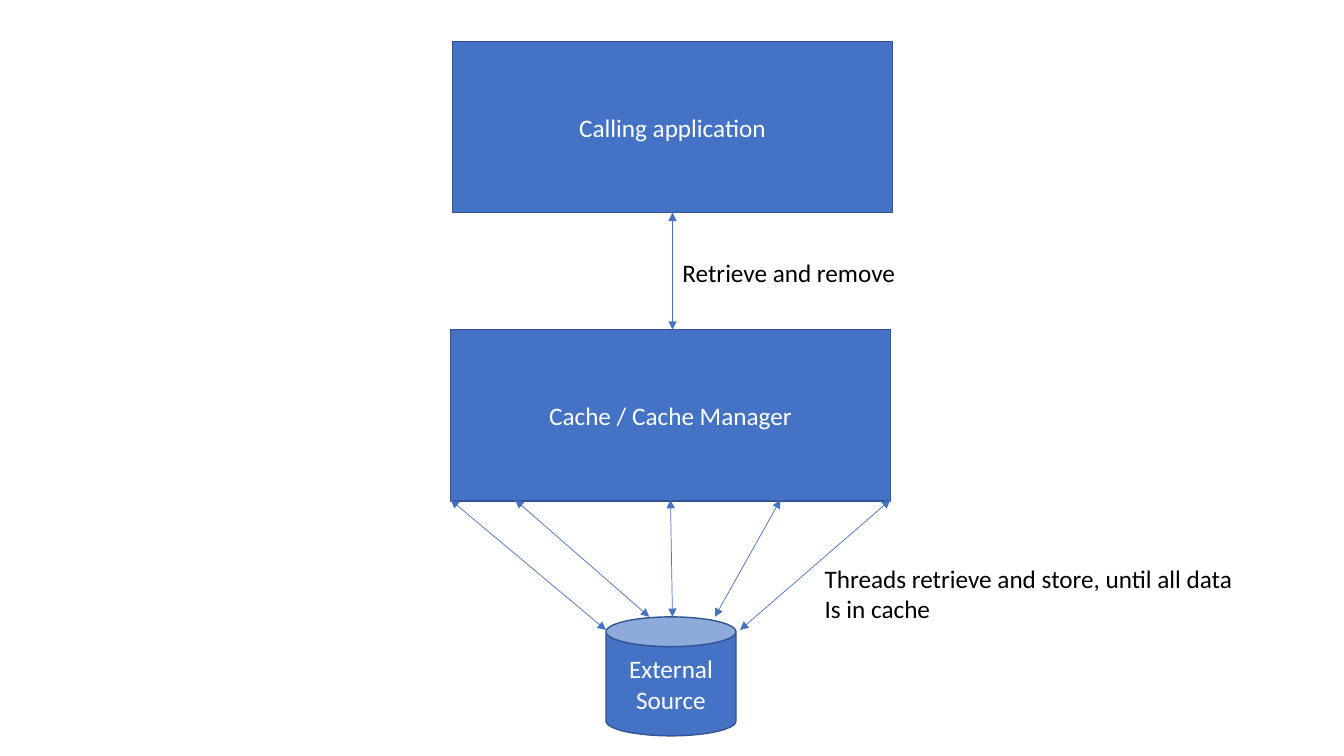
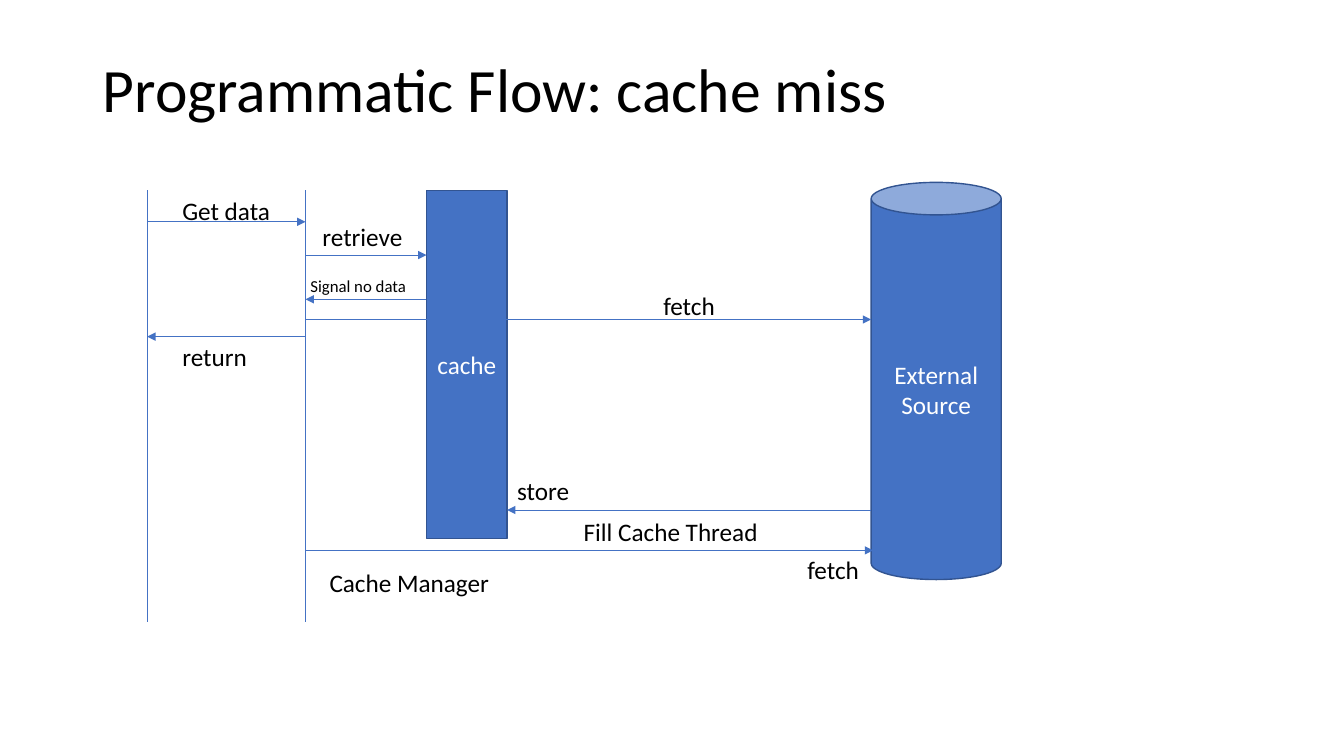
from pptx import Presentation
from pptx.dml.color import RGBColor
from pptx.enum.shapes import MSO_CONNECTOR, MSO_SHAPE
from pptx.enum.text import MSO_ANCHOR, MSO_AUTO_SIZE, PP_ALIGN
from pptx.oxml.ns import qn
from pptx.util import Inches, Pt
from lxml.etree import SubElement

COLORS = {"fill": "4472C4", "outline": "325491", "text": "000000", "on_fill": "FFFFFF"}
FONT = "Calibri"
TITLE_ONLY, BLANK = 5, 6


def color(name):
    return RGBColor.from_string(COLORS[name])


def write(tf, text, size, color_name, align=PP_ALIGN.LEFT):
    tf.text = text
    for p in tf.paragraphs:
        p.alignment = align
        for r in p.runs:
            r.font.name = FONT
            r.font.size = Pt(size)
            r.font.color.rgb = color(color_name)


def add_title(slide, text):
    sp = slide.shapes.title
    sp.left, sp.top, sp.width, sp.height = map(Inches, (0.92, 0.4, 11.5, 1.03))
    tf = sp.text_frame
    tf.vertical_anchor = MSO_ANCHOR.MIDDLE
    write(tf, text, 44, "text")
    tf.paragraphs[0].line_spacing = 0.9


def add_node(slide, kind, box, text):
    sp = slide.shapes.add_shape(kind, *map(Inches, box))
    sp.shadow.inherit = False
    sp.fill.solid()
    sp.fill.fore_color.rgb = color("fill")
    sp.line.color.rgb = color("outline")
    sp.line.width = Pt(1)
    sp.text_frame.vertical_anchor = MSO_ANCHOR.MIDDLE
    write(sp.text_frame, text, 18, "on_fill", PP_ALIGN.CENTER)


def add_label(slide, box, text, size=18):
    sp = slide.shapes.add_textbox(*map(Inches, box))
    tf = sp.text_frame
    tf.word_wrap = False
    tf.auto_size = MSO_AUTO_SIZE.SHAPE_TO_FIT_TEXT
    write(tf, text, size, "text")


def add_line(slide, start, end, arrows=()):
    """Draw a thin line; arrows names its pointed ends: headEnd (start), tailEnd (end)."""
    line = slide.shapes.add_connector(MSO_CONNECTOR.STRAIGHT, *map(Inches, start + end))
    line.line.color.rgb = color("fill")
    line.line.width = Pt(0.5)
    ln = line.line._get_or_add_ln()
    for arrow in arrows:
        SubElement(ln, qn("a:" + arrow)).set("type", "triangle")
    SubElement(line._element.spPr, qn("a:effectLst"))


def build_architecture(prs):
    slide = prs.slides.add_slide(prs.slide_layouts[BLANK])
    add_node(slide, MSO_SHAPE.CAN, (6.01, 6.12, 1.29, 1.18), "External Source")
    add_node(slide, MSO_SHAPE.RECTANGLE, (4.47, 3.27, 4.36, 1.7), "Cache / Cache Manager")
    add_node(slide, MSO_SHAPE.RECTANGLE, (4.49, 0.41, 4.36, 1.7), "Calling application")

    both_ends = ("headEnd", "tailEnd")
    cache_bottom = 4.96
    threads = [(4.47, 6.01, 6.25), (5.11, 6.44, 6.12), (6.65, 6.67, 6.12),
               (7.74, 7.09, 6.12), (8.83, 7.34, 6.25)]
    for cache_x, source_x, source_y in threads:
        add_line(slide, (cache_x, cache_bottom), (source_x, source_y), both_ends)
    add_line(slide, (6.67, 2.11), (6.67, 3.27), both_ends)

    add_label(slide, (8.08, 5.54, 4.3, 0.71),
              "Threads retrieve and store, until all data\nIs in cache")
    add_label(slide, (6.67, 2.5, 2.34, 0.4), "Retrieve and remove")


def build_cache_miss(prs):
    slide = prs.slides.add_slide(prs.slide_layouts[TITLE_ONLY])
    add_title(slide, "Programmatic Flow: cache miss")

    caller, manager, cache_left, cache_right, source = 1.46, 3.03, 4.23, 5.03, 8.64
    for x in (caller, manager):
        add_line(slide, (x, 1.89), (x, 6.17))
    add_node(slide, MSO_SHAPE.RECTANGLE,
             (cache_left, 1.89, cache_right - cache_left, 3.45), "cache")
    add_node(slide, MSO_SHAPE.CAN, (source, 1.81, 1.29, 3.94), "External Source")

    messages = [(caller, manager, 2.2), (manager, cache_left, 2.53),
                (cache_left, manager, 2.97), (manager, source, 3.17),
                (manager, caller, 3.34), (source, cache_right, 5.06),
                (manager, source + 0.02, 5.46)]
    for start_x, end_x, y in messages:
        add_line(slide, (start_x, y), (end_x, y), ("tailEnd",))

    labels = [("Get data", 1.71, 1.89, 1.08), ("retrieve", 3.1, 2.15, 1),
              ("fetch", 6.48, 2.83, 0.72), ("return", 1.71, 3.34, 0.85),
              ("store", 5.03, 4.67, 0.72), ("Fill Cache Thread", 5.69, 5.07, 1.95),
              ("fetch", 7.91, 5.45, 0.72), ("Cache Manager", 3.17, 5.58, 1.8)]
    for text, left, top, width in labels:
        add_label(slide, (left, top, width, 0.4), text)
    add_label(slide, (2.98, 2.69, 1.16, 0.3), "Signal no data", 12)


def main():
    prs = Presentation()
    prs.slide_width, prs.slide_height = Inches(13.33), Inches(7.5)
    build_architecture(prs)
    build_cache_miss(prs)
    prs.save("out.pptx")


if __name__ == "__main__":
    main()
